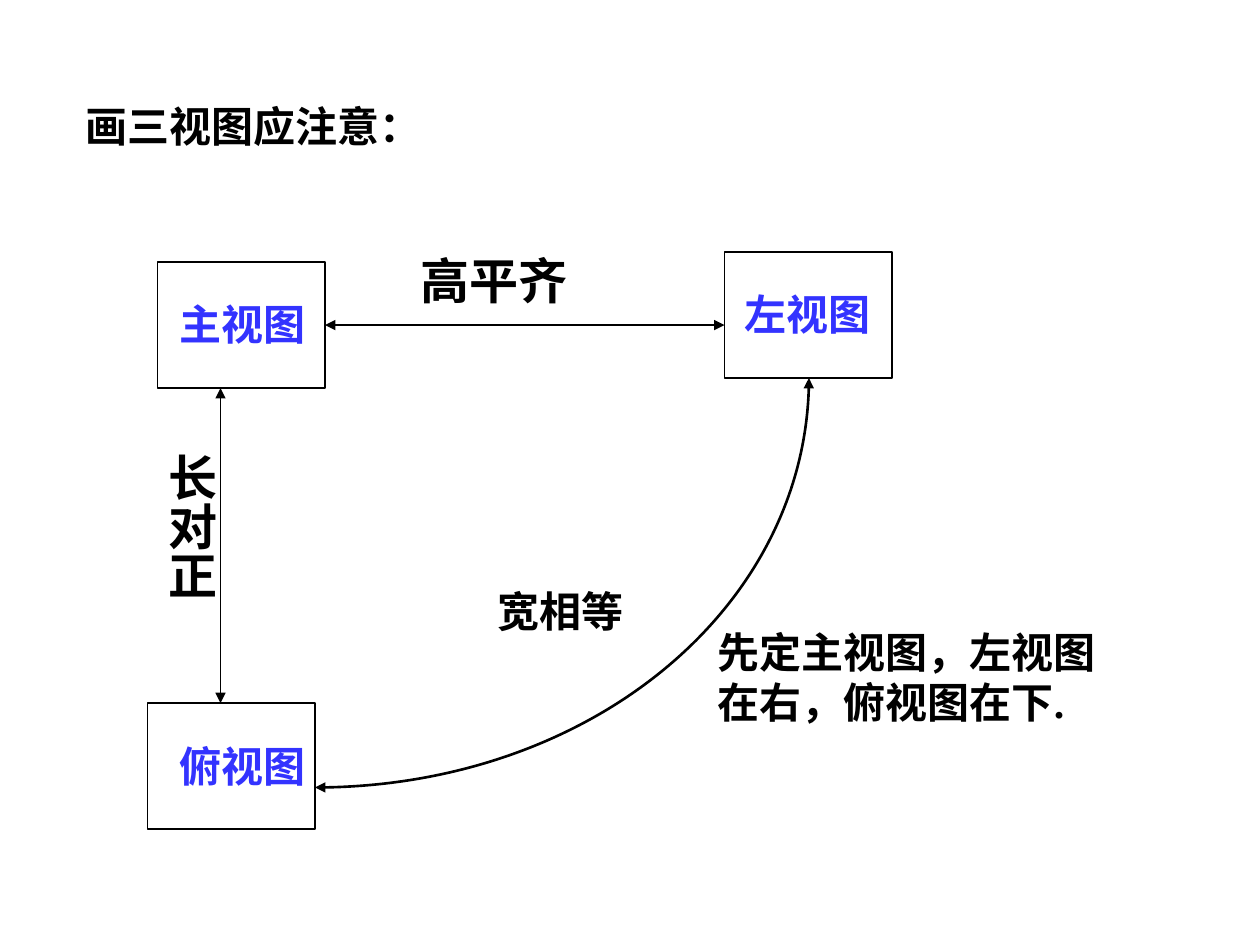
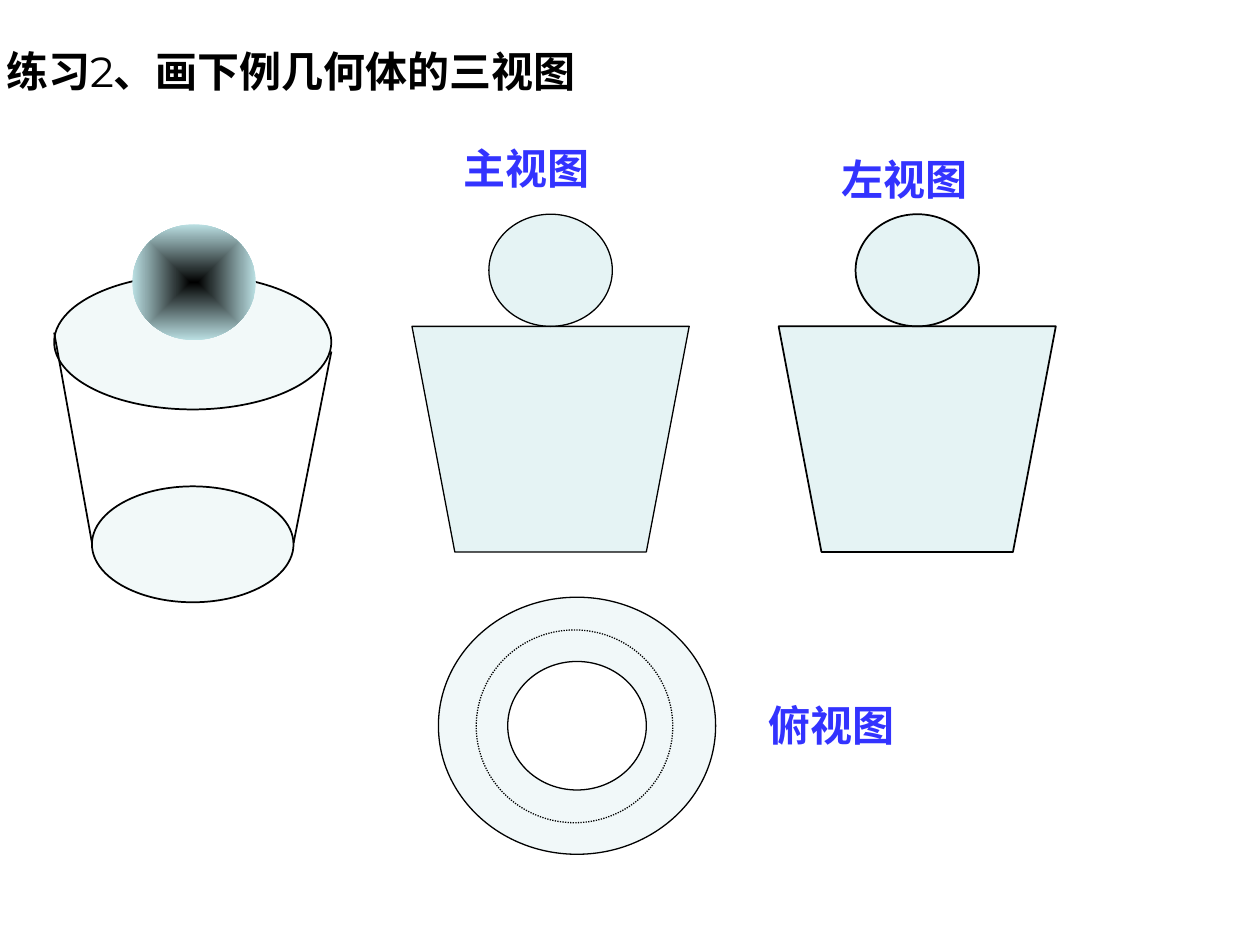
from dataclasses import dataclass

from lxml.etree import SubElement
from pptx import Presentation
from pptx.dml.color import RGBColor
from pptx.enum.dml import MSO_LINE
from pptx.enum.shapes import MSO_CONNECTOR, MSO_SHAPE
from pptx.enum.text import MSO_AUTO_SIZE
from pptx.oxml import parse_xml
from pptx.oxml.ns import nsdecls, qn
from pptx.util import Inches, Pt


@dataclass(frozen=True)
class Theme:
    black: str = "000000"
    blue: str = "3333FF"
    aqua: str = "BBE0E3"
    body_size: float = 24
    relation_size: float = 28
    thin: float = 0.75
    medium: float = 1
    thick: float = 1.5
    font: str = "Times New Roman"
    heading_font: str = "Arial"
    digit_font: str = "Montserrat"


# Control-point distance for a quarter ellipse, as a share of the radius
QUARTER_CURVE = 0.5523


def ellipse_points(center_x, center_y, radius_x, radius_y):
    """Bezier points of an ellipse from its left end; a negative radius_y reverses it."""
    k = QUARTER_CURVE
    units = [(-1, 0), (-1, -k), (-k, -1), (0, -1), (k, -1), (1, -k), (1, 0),
             (1, k), (k, 1), (0, 1), (-k, 1), (-1, k), (-1, 0)]
    return [(center_x + x * radius_x, center_y + y * radius_y) for x, y in units]


class Drawing:
    def __init__(self, presentation, theme):
        self.presentation = presentation
        self.theme = theme
        self.slide = None

    def new_slide(self):
        self.slide = self.presentation.slides.add_slide(self.presentation.slide_layouts[6])

    def text(self, text, left, top, width, height=0.5, *, size=None, color=None,
             font=None, wrap=True, vertical=False):
        """Add bold text; a list of (text, font, bold) tuples makes mixed runs."""
        theme = self.theme
        box = self.slide.shapes.add_textbox(*map(Inches, (left, top, width, height)))
        frame = box.text_frame
        frame.word_wrap = wrap
        frame.auto_size = MSO_AUTO_SIZE.SHAPE_TO_FIT_TEXT
        if vertical:
            frame.margin_left = frame.margin_right = Inches(0.05)
            frame.margin_top = frame.margin_bottom = Inches(0.1)
            frame._txBody.bodyPr.set("vert", "eaVert")
        runs = [(text, font or theme.font, True)] if isinstance(text, str) else text
        for run_text, run_font, bold in runs:
            run = frame.paragraphs[0].add_run()
            run.text = run_text
            run.font.name = run_font
            run.font.bold = bold
            run.font.size = Pt(size or theme.body_size)
            run.font.color.rgb = RGBColor.from_string(color or theme.black)

    def view_label(self, text, left, top, width):
        self.text(text, left, top, width, color=self.theme.blue)

    def stroke(self, item, weight, arrows=False):
        item.line.color.rgb = RGBColor.from_string(self.theme.black)
        item.line.width = Pt(weight)
        if arrows:
            line = item._element.spPr.find(qn("a:ln"))
            for end in ("a:headEnd", "a:tailEnd"):
                SubElement(line, qn(end), type="triangle")

    def style(self, shape, weight, opacity=None, arrows=False):
        """Outline a shape and tint it with aqua at an opacity in percent, if given."""
        if opacity is None:
            shape.fill.background()
        else:
            shape.fill.solid()
            shape.fill.fore_color.rgb = RGBColor.from_string(self.theme.aqua)
            color = shape._element.spPr.find(qn("a:solidFill"))[0]
            SubElement(color, qn("a:alpha"), val=str(opacity * 1000))
        self.stroke(shape, weight, arrows)
        shape.shadow.inherit = False

    def shape(self, kind, left, top, width, height, weight, opacity=None):
        shape = self.slide.shapes.add_shape(kind, *map(Inches, (left, top, width, height)))
        self.style(shape, weight, opacity)
        return shape

    def ellipse(self, *args, **options):
        return self.shape(MSO_SHAPE.OVAL, *args, **options)

    def sphere(self, left, top, width, height):
        ball = self.ellipse(left, top, width, height, self.theme.thin)
        ball.line.fill.background()
        gradient = parse_xml(
            f'<a:gradFill {nsdecls("a")} rotWithShape="1"><a:gsLst>'
            f'<a:gs pos="0"><a:srgbClr val="{self.theme.black}"/></a:gs>'
            f'<a:gs pos="100000"><a:srgbClr val="{self.theme.aqua}"/></a:gs></a:gsLst>'
            '<a:path path="rect"><a:fillToRect l="50000" t="50000" r="50000" b="50000"/>'
            '</a:path></a:gradFill>')
        properties = ball._element.spPr
        properties.replace(properties.find(qn("a:noFill")), gradient)

    def line(self, start, end, weight, arrows=False):
        connector = self.slide.shapes.add_connector(
            MSO_CONNECTOR.STRAIGHT, *map(Inches, (*start, *end)))
        self.stroke(connector, weight, arrows)
        SubElement(connector._element.spPr, qn("a:effectLst"))

    def outline(self, contours, weight, opacity=None, closed=True, curved=False, arrows=False):
        """Draw contours; when curved, points after the first form Bezier triples."""
        contours = [[(Inches(x), Inches(y)) for x, y in points] for points in contours]
        builder = self.slide.shapes.build_freeform(*contours[0][0], scale=1.0)
        for index, points in enumerate(contours):
            if index:
                builder.move_to(*points[0])
            builder.add_line_segments(points[1:], close=closed)
        shape = builder.convert_to_shape()
        if curved:
            segments = list(shape._element.iter(qn("a:lnTo")))
            for first in range(0, len(segments), 3):
                triple = segments[first:first + 3]
                curve = parse_xml(f'<a:cubicBezTo {nsdecls("a")}/>')
                triple[0].addprevious(curve)
                for segment in triple:
                    curve.append(segment[0])
                    segment.getparent().remove(segment)
        self.style(shape, weight, opacity, arrows=arrows)

    def cup_with_ball(self, left, weight):
        """Draw the flat front or side view: a ball on a tapering cup."""
        top, width, height, taper, opacity = 2.59, 2.2, 1.79, 0.34, 37
        right, bottom = left + width, top + height
        self.outline([[(left, top), (left + taper, bottom),
                       (right - taper, bottom), (right, top)]], weight, opacity)
        ball_width, ball_height = 0.98, 0.89
        self.ellipse(left + (width - ball_width) / 2, top - ball_height,
                     ball_width, ball_height, weight, opacity)


def draw_view_rules(drawing):
    theme = drawing.theme
    drawing.new_slide()
    drawing.text("画三视图应注意：", 0.58, 0.75, 3.08)
    for left, top in ((1.25, 2.08), (1.17, 5.58), (5.75, 2)):
        drawing.shape(MSO_SHAPE.RECTANGLE, left, top, 1.33, 1, theme.thin)
    drawing.view_label("主视图", 1.33, 2.32, 1.33)
    drawing.view_label("左视图", 5.81, 2.24, 1.78)
    drawing.view_label("俯视图", 1.33, 5.83, 2.17)
    drawing.text("先定主视图，左视图在右，俯视图在下.", 5.6, 4.92, 3.4, 0.9)

    drawing.line((1.75, 3.08), (1.75, 5.58), theme.thin, arrows=True)
    drawing.text("长对正", 1.14, 3.5, 0.66, 2, size=theme.relation_size, vertical=True)
    drawing.line((2.58, 2.58), (5.75, 2.58), theme.thin, arrows=True)
    drawing.text("高平齐", 3.24, 1.94, 2.17, 0.57, size=theme.relation_size)
    drawing.outline([[(2.5, 6.25), (4.66, 6.25), (6.42, 4.79), (6.42, 3)]],
                    theme.thick, closed=False, curved=True, arrows=True)
    drawing.text("宽相等", 3.85, 4.6, 2.67)


def draw_exercise(drawing):
    theme = drawing.theme
    drawing.new_slide()
    drawing.ellipse(0.43, 2.18, 2.2, 1.07, theme.medium, opacity=18)
    drawing.ellipse(0.73, 3.86, 1.6, 0.92, theme.medium, opacity=18)
    drawing.line((0.43, 2.64), (0.73, 4.31), theme.medium)
    drawing.line((2.63, 2.79), (2.33, 4.31), theme.medium)
    drawing.sphere(1.05, 1.78, 0.98, 0.92)

    ring = [ellipse_points(4.58, 5.76, 1.1, 1.02), ellipse_points(4.58, 5.76, 0.55, -0.51)]
    drawing.outline(ring, theme.thin, opacity=20, curved=True)
    hidden_edge = drawing.ellipse(3.78, 5, 1.56, 1.53, theme.thin)
    hidden_edge.line.dash_style = MSO_LINE.ROUND_DOT

    drawing.cup_with_ball(3.27, theme.thin)
    drawing.cup_with_ball(6.18, theme.medium)

    drawing.text([("练习", theme.heading_font, True), ("2", theme.digit_font, False),
                  ("、画下例几何体的三视图", theme.digit_font, True)],
                 -0.05, 0.31, 4.88, wrap=False)
    drawing.view_label("主视图", 3.58, 1.08, 1.33)
    drawing.view_label("左视图", 6.58, 1.17, 1.78)
    drawing.view_label("俯视图", 6, 5.5, 1.5)


def main():
    presentation = Presentation()
    presentation.slide_width = Inches(10)
    presentation.slide_height = Inches(7.5)
    drawing = Drawing(presentation, Theme())
    draw_view_rules(drawing)
    draw_exercise(drawing)
    presentation.save("out.pptx")


if __name__ == "__main__":
    main()
